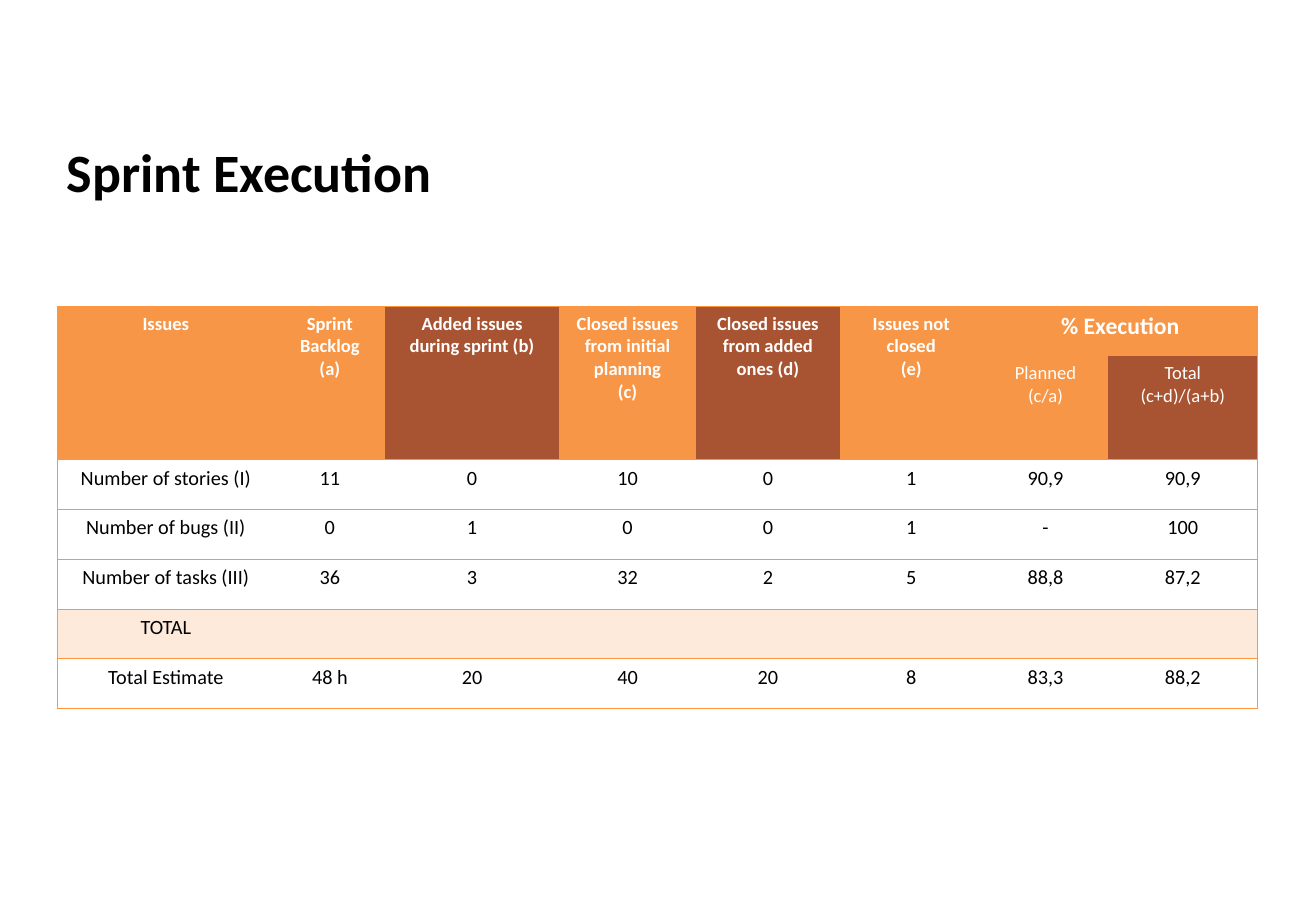
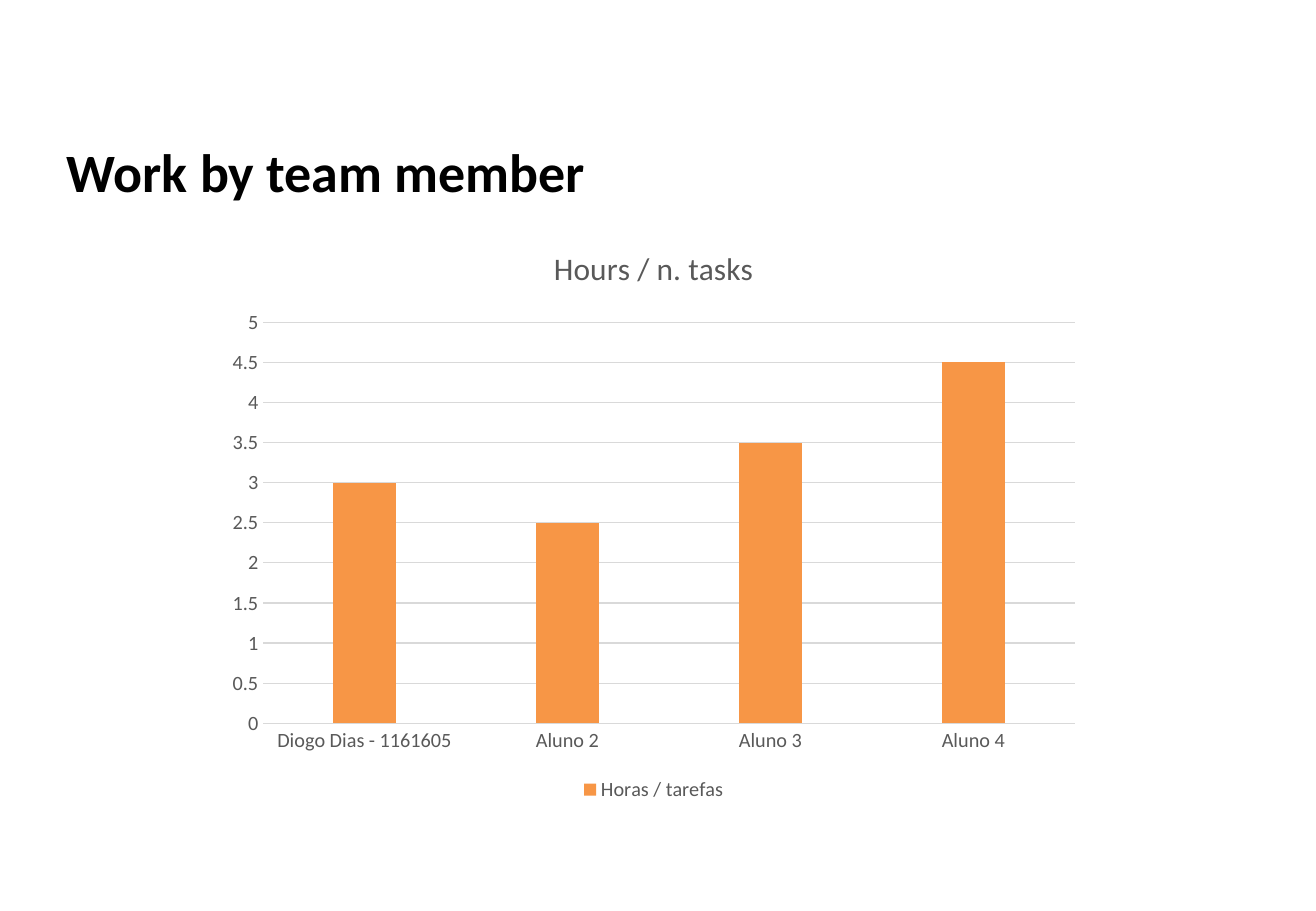
from dataclasses import dataclass

from lxml.etree import SubElement
from pptx import Presentation
from pptx.chart.data import CategoryChartData
from pptx.dml.color import RGBColor
from pptx.enum.chart import XL_CHART_TYPE, XL_LEGEND_POSITION, XL_TICK_MARK
from pptx.enum.text import MSO_ANCHOR, MSO_AUTO_SIZE, PP_ALIGN
from pptx.oxml.ns import qn
from pptx.util import Inches, Pt


@dataclass(frozen=True)
class Theme:
    """Colours, type sizes and font of the deck."""
    font: str = "Calibri"
    black: str = "000000"
    white: str = "FFFFFF"
    orange: str = "F79646"
    brown: str = "A85432"
    peach: str = "FDEADA"
    rule: str = "FF953E"
    grey: str = "595959"
    grid: str = "D9D9D9"
    title: float = 32
    chart_title: float = 18.6
    group: float = 14
    body: float = 12
    head: float = 11
    line: float = 0.75


T = Theme()
TITLE_BOX = (0.45, 1.09, 9.89, 0.63)
TABLE_BOX = (0.47, 2.52, 9.88, 3.3)
CHART_BOX = (1.77, 1.83, 7.22, 4.81)

COLS = (1.79, 0.91, 1.43, 1.13, 1.18, 1.18, 1.03, 1.23)
ROW_H, SUBHEAD_H = 0.41, 0.84
HEAD = (
    ("Issues", "Sprint Backlog\n(a)", "Added issues during sprint (b)",
     "Closed issues from initial planning\n(c)",
     "Closed issues from added ones (d)", "Issues not closed\n(e)",
     "% Execution", ""),
    ("", "", "", "", "", "", "Planned\n(c/a)", "Total\n(c+d)/(a+b)"),
)
BODY = (
    ("Number of stories (I)", "11", "0", "10", "0", "1", "90,9", "90,9"),
    ("Number of bugs (II)", "0", "1", "0", "0", "1", "-", "100"),
    ("Number of tasks (III)", "36", "3", "32", "2", "5", "88,8", "87,2"),
    ("TOTAL",) + ("",) * 7,
    ("Total Estimate", "48 h", "20", "40", "20", "8", "83,3", "88,2"),
)
BROWN_CELLS = {(0, 2), (0, 4), (1, 7)}
GROUP_COL = 6
MEMBERS = {"Diogo Dias - 1161605": 3, "Aluno 2": 2.5,
           "Aluno 3": 3.5, "Aluno 4": 4.5}


def set_attrs(obj, **values):
    """Set each named attribute on an object."""
    for name, value in values.items():
        setattr(obj, name, value)


def set_font(font, size, color, bold=False):
    """Give a font the deck's typeface with a size, colour and weight."""
    set_attrs(font, name=T.font, size=Pt(size), bold=bold)
    font.color.rgb = RGBColor.from_string(color)


def set_fill(fill, color):
    """Make a fill solid in one colour."""
    fill.solid()
    fill.fore_color.rgb = RGBColor.from_string(color)


def set_line(line, color):
    """Make a line thin and solid in one colour."""
    line.width = Pt(T.line)
    set_fill(line.fill, color)


def set_borders(cell, sides):
    """Draw the rule colour on the given sides, in L, R, T, B order."""
    tc_pr = cell._tc.get_or_add_tcPr()
    for side in sides:
        ln = SubElement(tc_pr, qn(f"a:ln{side}"), w=str(Pt(T.line)))
        SubElement(SubElement(ln, qn("a:solidFill")), qn("a:srgbClr"), val=T.rule)


def add_slide(prs, title):
    """Add a slide with the shared title style."""
    s = prs.slides.add_slide(prs.slide_layouts[5])
    sp = s.shapes.title
    x, y, w, h = map(Inches, TITLE_BOX)
    set_attrs(sp, left=x, top=y, width=w, height=h)
    tf = sp.text_frame
    set_attrs(tf, text=title, word_wrap=True, auto_size=MSO_AUTO_SIZE.NONE,
              vertical_anchor=MSO_ANCHOR.MIDDLE)
    p = tf.paragraphs[0]
    p.alignment = PP_ALIGN.LEFT
    set_font(p.runs[0].font, T.title, T.black, True)
    return s


def cell_style(row, col):
    """Return fill, type size, text colour and weight of a table cell."""
    if row >= len(HEAD):
        total = BODY[row - len(HEAD)][0] == "TOTAL"
        return T.peach if total else T.white, T.body, T.black, False
    fill = T.brown if (row, col) in BROWN_CELLS else T.orange
    size = T.group if (row, col) == (0, GROUP_COL) else T.head
    return fill, size, T.white, row == 0


def format_cell(cell, text, row, col):
    """Fill one cell with its text, borders and style."""
    fill, size, color, bold = cell_style(row, col)
    sides = "L" if col == 0 else "R" if col == len(COLS) - 1 else ""
    sides += "TB" if row >= len(HEAD) else "T" if row == 0 else ""
    set_borders(cell, sides)
    set_fill(cell.fill, fill)
    cell.text = text
    for p in cell.text_frame.paragraphs:
        p.alignment = PP_ALIGN.CENTER
        for r in p.runs:
            set_font(r.font, size, color, bold)


def add_issue_table(s, box):
    """Place the sprint issue table in a box."""
    rows = HEAD + BODY
    frame = s.shapes.add_table(len(rows), len(COLS), *map(Inches, box))
    tbl = frame.table
    set_attrs(tbl, first_row=False, horz_banding=False)
    scale = box[2] / sum(COLS)
    for column, w in zip(tbl.columns, COLS):
        column.width = Inches(w * scale)
    for i, texts in enumerate(rows):
        tbl.rows[i].height = Inches(SUBHEAD_H if i == 1 else ROW_H)
        for j, text in enumerate(texts):
            format_cell(tbl.cell(i, j), text, i, j)
    for j in range(GROUP_COL):
        tbl.cell(0, j).merge(tbl.cell(1, j))
    tbl.cell(0, GROUP_COL).merge(tbl.cell(0, GROUP_COL + 1))
    tbl._tbl.tblPr.find(qn("a:tableStyleId")).text = (
        "{2D5ABB26-0587-4C30-8999-92F81FD0307C}")


def add_hours_chart(s, box):
    """Place the column chart of hours per task in a box."""
    data = CategoryChartData()
    data.categories = list(MEMBERS)
    data.add_series("Horas / tarefas", list(MEMBERS.values()))
    chart = s.shapes.add_chart(
        XL_CHART_TYPE.COLUMN_CLUSTERED, *map(Inches, box), data).chart
    set_attrs(chart, has_title=True, has_legend=True)
    set_font(chart.font, T.body, T.grey)
    tf = chart.chart_title.text_frame
    tf.text = "Hours / n. tasks"
    set_font(tf.paragraphs[0].runs[0].font, T.chart_title, T.grey)

    set_attrs(chart.legend, position=XL_LEGEND_POSITION.BOTTOM,
              include_in_layout=False)
    cat, val = chart.category_axis, chart.value_axis
    for item in (chart.legend, cat.tick_labels, val.tick_labels):
        set_font(item.font, T.body, T.grey)
    for axis in (cat, val):
        set_attrs(axis, major_tick_mark=XL_TICK_MARK.NONE,
                  minor_tick_mark=XL_TICK_MARK.NONE)
    set_attrs(val, minimum_scale=0, maximum_scale=5, major_unit=0.5,
              has_major_gridlines=True)
    set_line(cat.format.line, T.grid)
    set_line(val.major_gridlines.format.line, T.grid)
    val.format.line.fill.background()

    plot = chart.plots[0]
    set_attrs(plot, gap_width=219, overlap=-27, vary_by_categories=False)
    set_fill(plot.series[0].format.fill, T.orange)


def main():
    """Build and save the deck."""
    prs = Presentation()
    set_attrs(prs, slide_width=Inches(10.83), slide_height=Inches(7.5))
    add_issue_table(add_slide(prs, "Sprint Execution"), TABLE_BOX)
    add_hours_chart(add_slide(prs, "Work by team member"), CHART_BOX)
    prs.save("out.pptx")


if __name__ == "__main__":
    main()
